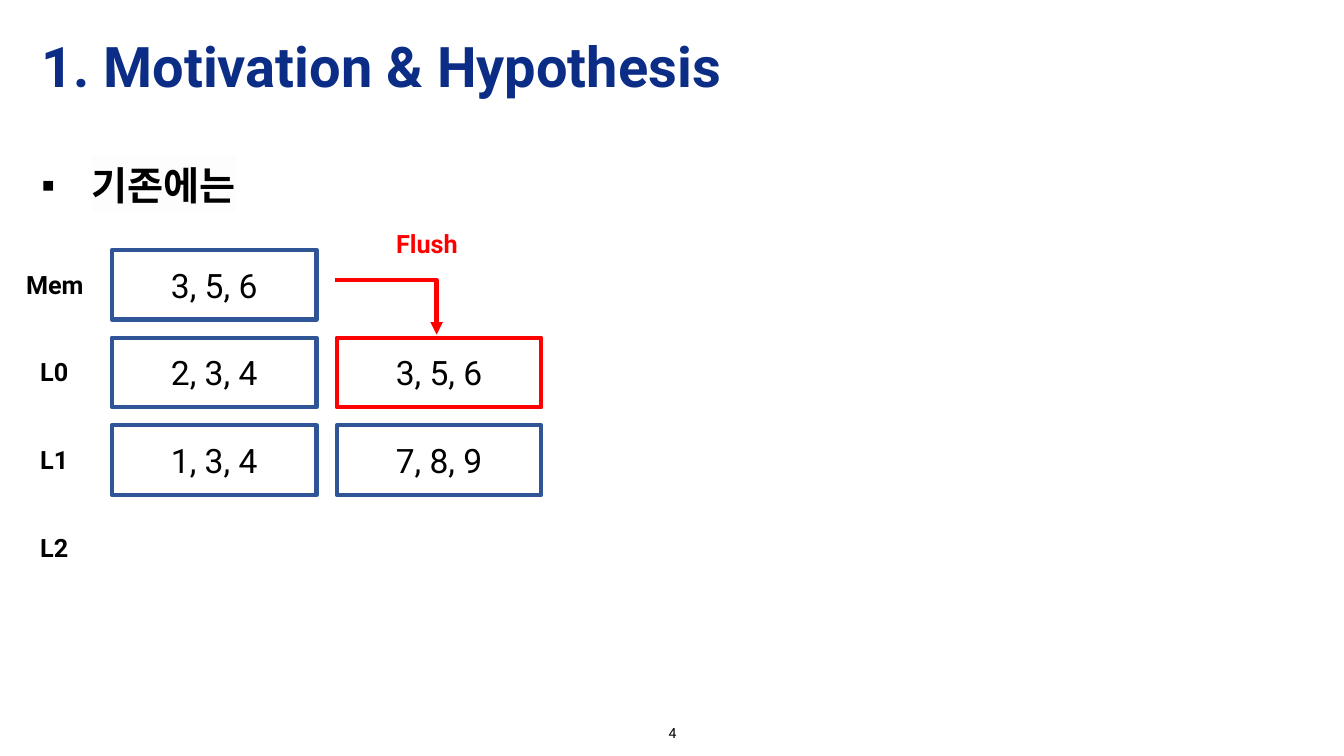
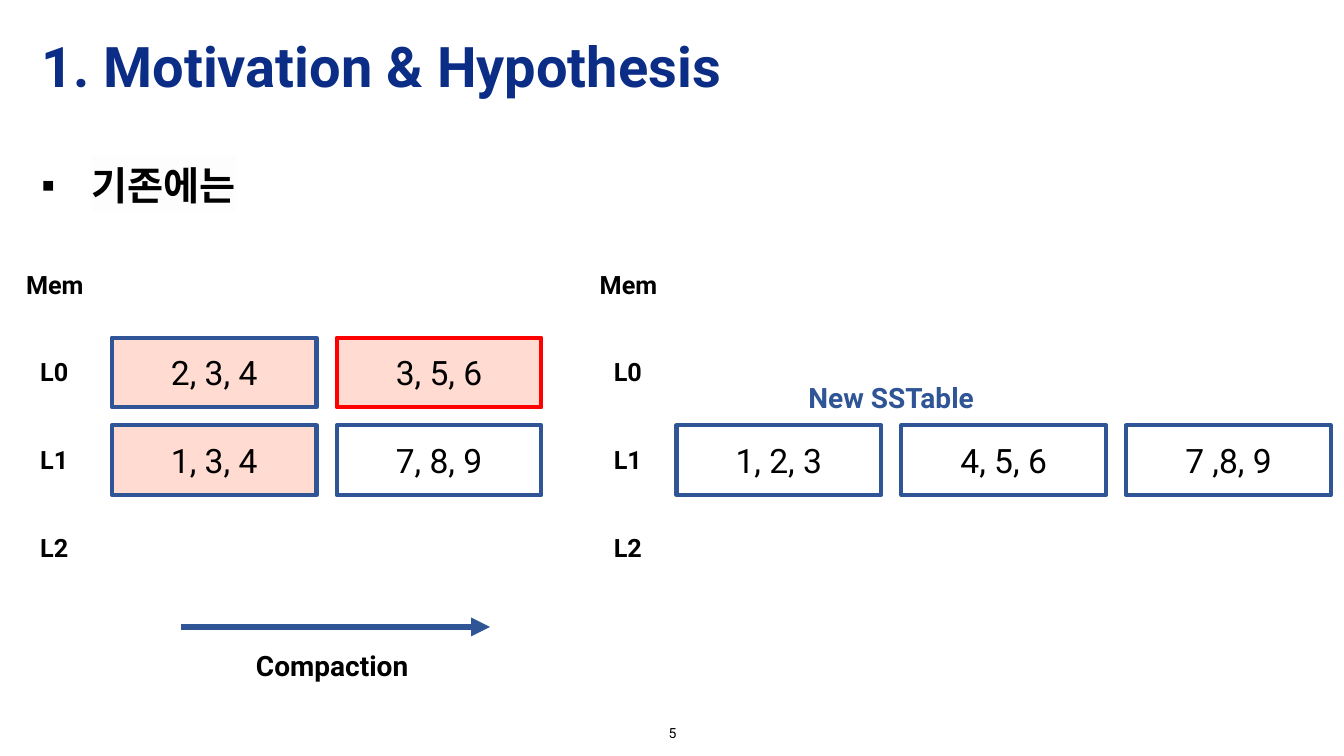
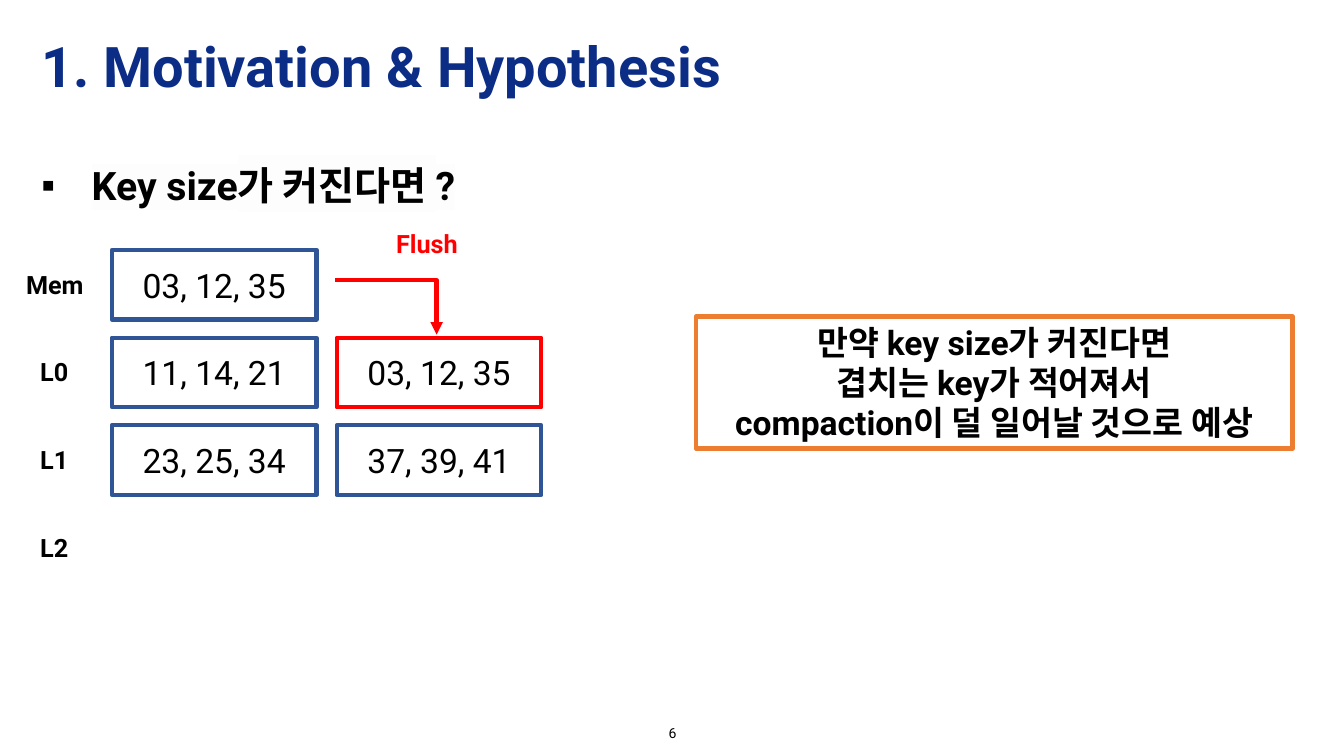
import lxml.etree
import pptx
import pptx.dml.color
import pptx.enum.shapes
import pptx.enum.text
import pptx.oxml
import pptx.oxml.ns
import pptx.util

PX = 9144  # EMU; 100 px to the inch
FONT = "Roboto"
NAVY = pptx.dml.color.RGBColor(0x0B, 0x2D, 0x86)
BLUE = pptx.dml.color.RGBColor(0x2F, 0x55, 0x97)
RED = pptx.dml.color.RGBColor(0xFF, 0x00, 0x00)
ORANGE = pptx.dml.color.RGBColor(0xED, 0x7D, 0x31)
PINK = pptx.dml.color.RGBColor(0xFF, 0xDB, 0xD1)
BLACK = pptx.dml.color.RGBColor(0x00, 0x00, 0x00)
HIGHLIGHT = pptx.dml.color.RGBColor(0xFD, 0xFD, 0xFD)

LEVELS = ("Mem", "L0", "L1", "L2")
TABLE_W, TABLE_H = 203, 69
COLUMN_PITCH, LEVEL_PITCH = 223, 87
DIAGRAM_LEFT, DIAGRAM_TOP = 16, 248

ALIGN = pptx.enum.text.PP_ALIGN
ANCHOR = pptx.enum.text.MSO_ANCHOR
AUTO_SIZE = pptx.enum.text.MSO_AUTO_SIZE
CONNECTOR = pptx.enum.shapes.MSO_CONNECTOR


def px(*lengths):
    return [pptx.util.Emu(length * PX) for length in lengths]


def add_xml(parent, tag, **attributes):
    return lxml.etree.SubElement(parent, pptx.oxml.ns.qn(tag), **attributes)


def style(paragraph, size, colour=BLACK, bold=False, align=ALIGN.LEFT):
    paragraph.alignment = align
    font = paragraph.font
    font.name = FONT
    font.size = pptx.util.Pt(size)
    font.bold = bold
    font.color.rgb = colour


def place(placeholder, left, top, width, height, anchor):
    placeholder.left, placeholder.top, placeholder.width, placeholder.height = px(
        left, top, width, height)
    placeholder.text_frame.auto_size = AUTO_SIZE.NONE
    placeholder.text_frame.vertical_anchor = anchor


def add_label(slide, text, left, top, width, height, size=18, colour=BLACK,
              bold=True, align=ALIGN.LEFT, anchor=ANCHOR.TOP):
    label = slide.shapes.add_textbox(*px(left, top, width, height))
    frame = label.text_frame
    frame.word_wrap = True
    frame.vertical_anchor = anchor
    frame.text = text
    for paragraph in frame.paragraphs:
        style(paragraph, size, colour, bold, align)
    return label


def add_arrow(slide, kind, start, end, colour, weight):
    arrow = slide.shapes.add_connector(kind, *px(*start, *end))
    arrow.line.color.rgb = colour
    arrow.line.width = pptx.util.Pt(weight)
    add_xml(arrow.line._get_or_add_ln(), "a:tailEnd", type="triangle")
    add_xml(arrow._element.spPr, "a:effectLst")
    return arrow


def add_topic(body, topic):
    place(body, 31, 146, 1265, 554, ANCHOR.TOP)
    body.text_frame.text = topic
    paragraph = body.text_frame.paragraphs[0]
    properties = paragraph._p.get_or_add_pPr()
    properties.set("marL", str(50 * PX))
    properties.set("indent", str(-50 * PX))
    add_xml(properties, "a:buFont", typeface="Arial")
    add_xml(properties, "a:buChar", char="▪")
    paragraph.line_spacing = 1.2
    paragraph.space_before = pptx.util.Pt(6)
    style(paragraph, 28, bold=True)
    for run in paragraph.runs:
        highlight = add_xml(run._r.get_or_add_rPr(), "a:highlight")
        add_xml(highlight, "a:srgbClr", val=str(HIGHLIGHT))


def add_content_slide(deck, number, topic):
    slide = deck.slides.add_slide(deck.slide_layouts[1])
    title, body = slide.placeholders
    place(title, 31, 23, 971, 91, ANCHOR.MIDDLE)
    title.text_frame.text = "1. Motivation & Hypothesis"
    heading = title.text_frame.paragraphs[0]
    heading.line_spacing = 0.9
    style(heading, 40, NAVY, bold=True)
    add_topic(body, topic)
    add_label(slide, str(number), 517, 711, 300, 32, size=10, bold=False,
              align=ALIGN.CENTER, anchor=ANCHOR.MIDDLE)
    return slide


def add_table_box(slide, left, top, keys, outline=BLUE, fill=None):
    box = slide.shapes.add_shape(pptx.enum.shapes.MSO_SHAPE.RECTANGLE,
                                 *px(left, top, TABLE_W, TABLE_H))
    box.shadow.inherit = False
    if fill is None:
        box.fill.background()
    else:
        box.fill.solid()
        box.fill.fore_color.rgb = fill
    box.line.color.rgb = outline
    box.line.width = pptx.util.Pt(3)
    box.text_frame.text = keys
    style(box.text_frame.paragraphs[0], 24, align=ALIGN.CENTER)


def add_levels(slide, left, top, tables, indent=95):
    """Label the levels and draw the tables, given as {level: [(keys, outline, fill)]}."""
    for row, level in enumerate(LEVELS):
        level_top = top + row * LEVEL_PITCH
        label_left, label_width = (left, 117) if level == "Mem" else (left + 14, 68)
        add_label(slide, level, label_left, level_top + 14, label_width, 40)
        for column, table in enumerate(tables.get(level, [])):
            add_table_box(slide, left + indent + column * COLUMN_PITCH, level_top, *table)


def add_flush(slide, left, top):
    arrow = add_arrow(slide, CONNECTOR.ELBOW, (left, top + 56),
                      (left + 101, top + 110), RED, 3)
    arrow._element.spPr.find(pptx.oxml.ns.qn("a:prstGeom")).set("prst", "bentConnector2")
    add_label(slide, "Flush", left + 51, top, 117, 40, colour=RED)


def add_flush_slide(deck, number, topic, flushed, level0, level1):
    slide = add_content_slide(deck, number, topic)
    add_levels(slide, DIAGRAM_LEFT, DIAGRAM_TOP, {
        "Mem": [(flushed,)],
        "L0": [(level0,), (flushed, RED)],
        "L1": [(keys,) for keys in level1],
    })
    add_flush(slide, 332, 222)
    return slide


def add_compaction_slide(deck, number, topic):
    slide = add_content_slide(deck, number, topic)
    add_levels(slide, DIAGRAM_LEFT, DIAGRAM_TOP, {
        "L0": [("2, 3, 4", BLUE, PINK), ("3, 5, 6", RED, PINK)],
        "L1": [("1, 3, 4", BLUE, PINK), ("7, 8, 9",)],
    })
    add_levels(slide, 585, DIAGRAM_TOP, {
        "L1": [("1, 2, 3",), ("4, 5, 6",), ("7 ,8, 9",)],
    }, indent=86)
    add_arrow(slide, CONNECTOR.STRAIGHT, (180, 622), (486, 622), BLUE, 4.5)
    add_label(slide, "Compaction", 244, 638, 188, 44, size=20)
    add_label(slide, "New SSTable", 792, 373, 204, 44, size=20, colour=BLUE)


def add_expectation(slide, left, top):
    expectation = add_label(
        slide,
        "만약 key size가 커진다면\n겹치는 key가 적어져서\ncompaction이 덜 일어날 것으로 예상",
        left, top, 592, 131, size=24, align=ALIGN.CENTER)
    expectation.line.color.rgb = ORANGE
    expectation.line.width = pptx.util.Pt(3)


def main():
    deck = pptx.Presentation()
    deck.slide_width, deck.slide_height = px(1333, 750)
    add_flush_slide(deck, 4, "기존에는", "3, 5, 6", "2, 3, 4", ("1, 3, 4", "7, 8, 9"))
    add_compaction_slide(deck, 5, "기존에는")
    larger_keys = add_flush_slide(deck, 6, "Key size가 커진다면 ?", "03, 12, 35",
                                  "11, 14, 21", ("23, 25, 34", "37, 39, 41"))
    add_expectation(larger_keys, 690, 314)
    deck.save("out.pptx")


if __name__ == "__main__":
    main()
